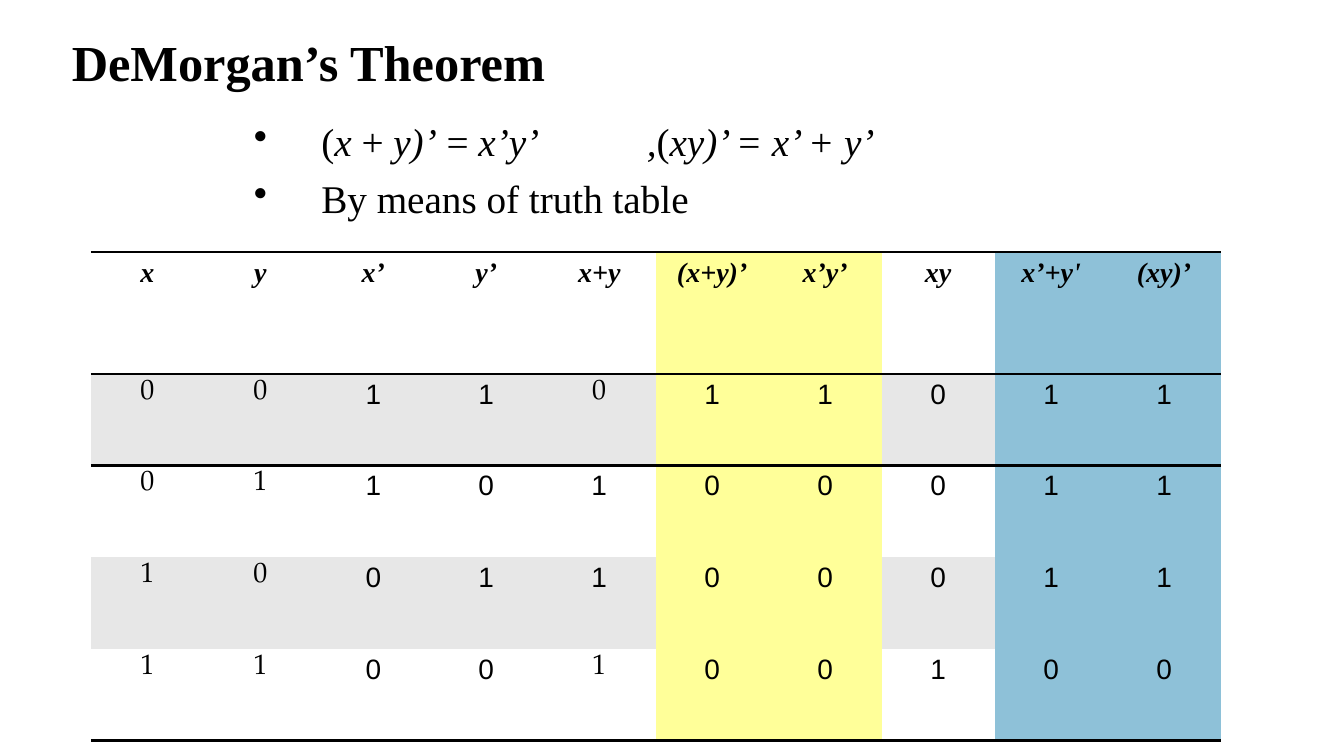
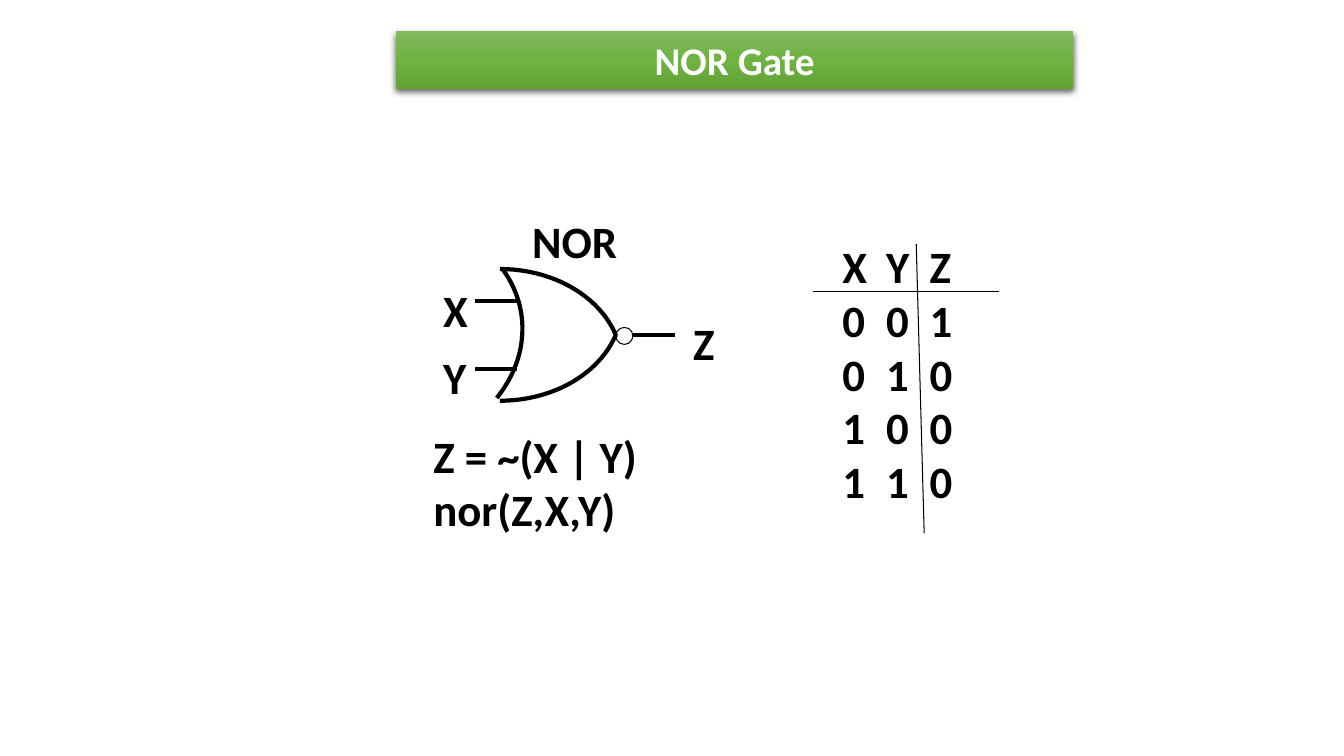
"""Build two slides on DeMorgan's theorem and the NOR gate."""
from copy import deepcopy

from pptx import Presentation
from pptx.dml.color import RGBColor
from pptx.enum.shapes import MSO_CONNECTOR as Connector, MSO_SHAPE as Shape
from pptx.enum.text import MSO_ANCHOR as Anchor, PP_ALIGN as Align
from pptx.oxml import parse_xml
from pptx.oxml.ns import nsdecls, qn
from pptx.util import Cm, Pt

COLORS = {"black": "000000", "white": "FFFFFF", "gray": "E7E7E7",
          "yellow": "FFFF99", "blue": "8EC1D8"}
BAND_STOPS = [(0, "81B861"), (0.5, "6FB242"), (1, "62A336")]
SERIF, SANS, ARIAL, PAGELLA = "Times New Roman", "Calibri", "Arial", "TeX Gyre Pagella"
TITLE_FORMAT = {"name": SERIF, "size": Pt(36), "bold": True}
BODY_FORMAT = {"name": SERIF, "size": Pt(28)}
HEADER_FORMAT = {"name": SERIF, "size": Pt(20), "bold": True, "italic": True}
BAND_FORMAT = {"name": SANS, "size": Pt(28), "bold": True}
GATE_FORMAT = {"name": SANS, "size": Pt(32), "bold": True}
NO_TABLE_STYLE = "{2D5ABB26-0587-4C30-8999-92F81FD0307C}"

THEOREM_TITLE = "DeMorgan’s Theorem"
THEOREM_LINES = [
    [("(", False), ("x", True), (" + ", False), ("y)’", True), (" = ", False),
     ("x’y’\t,", True), ("(", False), ("xy)’ = x’ + y’", True)],
    [("By means of truth table", False)],
]
TRUTH_ROWS = [
    ["x", "y", "x’", "y’", "x+y", "(x+y)’", "x’y’", "xy", "x’+y'", "(xy)’"],
    "0011011011",
    "0110100011",
    "1001100011",
    "1100100100",
]
COLUMN_COLORS = {5: "yellow", 6: "yellow", 8: "blue", 9: "blue"}
PAGELLA_CELLS = {(row, column) for row in range(1, 5) for column in (0, 1)} | {(1, 4), (4, 4)}

GATE_TITLE = "NOR Gate"
GATE_LABELS = [
    (["NOR"], 13.16, 5.26, 3, 1.63),
    (["X"], 10.92, 6.99, 1.3, 1.63),
    (["Y"], 10.92, 8.69, 1.3, 1.63),
    (["Z"], 17.22, 7.82, 1.3, 1.63),
    (["X\tY\tZ", "0\t0\t1", "0\t1\t0", "1\t0\t0", "1\t1\t0"], 20.98, 5.89, 4, 7.09),
    (["Z = ~(X | Y)", "nor(Z,X,Y)"], 10.67, 10.67, 6.5, 3),
]
GATE_TABS = (1.1, 2.2)
GATE_AXIS = 8.44
GATE_TOP = [(12.6, 6.78), (13.92, 6.78), (15.09, 7.44), (15.52, GATE_AXIS)]
GATE_BACK = [(12.65, 6.76), (13.36, 7.7), (13.36, 8.99), (12.52, 10.03)]
LINES = [
    (13.03, 7.59, 11.96, 7.59, 3),
    (13.03, 9.3, 11.96, 9.3, 3),
    (17.02, GATE_AXIS, 15.95, GATE_AXIS, 3),
    (20.5, 7.34, 25.17, 7.34, 0.75),
    (23.09, 6.15, 23.29, 13.44, 0.75),
]


def rgb(name):
    return RGBColor.from_string(COLORS[name])


def add_run(paragraph, text, values, color="black"):
    run = paragraph.add_run()
    run.text = text
    for name, value in values.items():
        setattr(run.font, name, value)
    run.font.color.rgb = rgb(color)


def add_text(slide, box, lines, values, tabs=(), **paragraph_values):
    frame = slide.shapes.add_textbox(*map(Cm, box)).text_frame
    frame.word_wrap = True
    for index, runs in enumerate(lines):
        paragraph = frame.add_paragraph() if index else frame.paragraphs[0]
        for name, value in paragraph_values.items():
            setattr(paragraph, name, value)
        for text, italic in runs:
            add_run(paragraph, text, {**values, "italic": italic})
        if tabs:
            stops = "".join(f'<a:tab pos="{Cm(tab)}" algn="l"/>' for tab in tabs)
            paragraph._p.get_or_add_pPr().append(
                parse_xml(f'<a:tabLst {nsdecls("a")}>{stops}</a:tabLst>'))
    return frame


def add_bullet(paragraph, indent):
    properties = paragraph._p.get_or_add_pPr()
    properties.set("marL", str(Cm(indent)))
    properties.set("indent", str(-Cm(indent)))
    bullet = parse_xml(f'<a:buChar {nsdecls("a")} char="•"/>')
    tabs = properties.find(qn("a:tabLst"))
    if tabs is None:
        properties.append(bullet)
    else:
        tabs.addprevious(bullet)


def add_border(cell, side):
    cell._tc.get_or_add_tcPr().append(parse_xml(
        f'<a:{side} {nsdecls("a")} w="{Pt(2)}"><a:solidFill>'
        f'<a:srgbClr val="{COLORS["black"]}"/></a:solidFill></a:{side}>'))


def add_truth_table(slide):
    row_count, column_count = len(TRUTH_ROWS), len(TRUTH_ROWS[0])
    shape = slide.shapes.add_table(row_count, column_count, Cm(2.29), Cm(6.35), Cm(28.47), Cm(12.29))
    table = shape.table
    table._tbl.tblPr.find(qn("a:tableStyleId")).text = NO_TABLE_STYLE
    table.first_row = table.horz_banding = False
    for column in table.columns:
        column.width = Cm(28.47) // column_count
    for row, texts in enumerate(TRUTH_ROWS):
        table.rows[row].height = Cm(2.31 if row else 3.07)
        for column, text in enumerate(texts):
            cell = table.cell(row, column)
            if row < 2:
                add_border(cell, "lnT")
            if row in (0, row_count - 1):
                add_border(cell, "lnB")
            cell.fill.solid()
            stripe = "gray" if row % 2 else "white"
            cell.fill.fore_color.rgb = rgb(COLUMN_COLORS.get(column, stripe))
            font = PAGELLA if (row, column) in PAGELLA_CELLS else ARIAL
            values = {"name": font, "size": Pt(20)} if row else HEADER_FORMAT
            paragraph = cell.text_frame.paragraphs[0]
            paragraph.alignment = Align.CENTER
            add_run(paragraph, text, values)


def add_band(slide, text):
    band = slide.shapes.add_shape(Shape.RECTANGLE, Cm(9.98), Cm(0.79), Cm(17.07), Cm(1.45))
    band.line.fill.background()
    band.fill.gradient()
    band.fill.gradient_angle = 270
    properties = band._element.spPr
    stop_list = properties.find(qn("a:gradFill")).find(qn("a:gsLst"))
    stop_list.append(deepcopy(stop_list[-1]))
    for stop, (position, color) in zip(band.fill.gradient_stops, BAND_STOPS):
        stop.position = position
        stop.color.rgb = RGBColor.from_string(color)
    properties.append(parse_xml(
        f'<a:effectLst {nsdecls("a")}><a:outerShdw blurRad="{Pt(4.5)}" dist="{Pt(1.5)}" '
        f'dir="5400000" algn="ctr" rotWithShape="0"><a:srgbClr val="{COLORS["black"]}">'
        '<a:alpha val="63000"/></a:srgbClr></a:outerShdw></a:effectLst>'))
    band.text_frame.vertical_anchor = Anchor.MIDDLE
    paragraph = band.text_frame.paragraphs[0]
    paragraph.alignment = Align.CENTER
    add_run(paragraph, text, BAND_FORMAT, "white")


def curve_points(controls, steps=24):
    points = []
    for step in range(steps + 1):
        t = step / steps
        weights = ((1 - t) ** 3, 3 * t * (1 - t) ** 2, 3 * t * t * (1 - t), t ** 3)
        points.append(tuple(Cm(sum(weight * point[axis] for weight, point in zip(weights, controls)))
                            for axis in (0, 1)))
    return points


def set_outline(shape, width):
    shape.shadow.inherit = False
    shape.fill.background()
    shape.line.color.rgb = rgb("black")
    shape.line.width = Pt(width)


def add_curve(slide, points):
    builder = slide.shapes.build_freeform(*points[0])
    builder.add_line_segments(points[1:], close=False)
    set_outline(builder.convert_to_shape(), 3)


def add_line(slide, left, top, right, bottom, width):
    line = slide.shapes.add_connector(Connector.STRAIGHT, *map(Cm, (left, top, right, bottom)))
    line.line.color.rgb = rgb("black")
    line.line.width = Pt(width)
    line._element.spPr.append(parse_xml(f'<a:effectLst {nsdecls("a")}/>'))


def build_theorem(slide):
    title = add_text(slide, (1.56, 0.41, 14.68, 2.46), [[(THEOREM_TITLE, False)]],
                     TITLE_FORMAT, line_spacing=0.9)
    title.vertical_anchor = Anchor.MIDDLE
    body = add_text(slide, (6.15, 2.97, 20.24, 3.38), THEOREM_LINES, BODY_FORMAT,
                    tabs=(9.9,), line_spacing=0.9, space_before=Pt(10))
    for paragraph in body.paragraphs:
        add_bullet(paragraph, 1.7)
    add_truth_table(slide)


def build_gate(slide):
    add_band(slide, GATE_TITLE)
    top = curve_points(GATE_TOP)
    bottom = [(x, 2 * Cm(GATE_AXIS) - y) for x, y in reversed(top[:-1])]
    add_curve(slide, top + bottom)
    add_curve(slide, curve_points(GATE_BACK))
    for line in LINES:
        add_line(slide, *line)
    bubble = slide.shapes.add_shape(Shape.OVAL, Cm(15.52), Cm(8.25), Cm(0.43), Cm(0.43))
    set_outline(bubble, 0.75)
    for texts, *box in GATE_LABELS:
        tabs = GATE_TABS if "\t" in texts[0] else ()
        add_text(slide, box, [[(text, False)] for text in texts], GATE_FORMAT, tabs)


def main():
    presentation = Presentation()
    presentation.slide_width, presentation.slide_height = Cm(33.87), Cm(19.05)
    for build in (build_theorem, build_gate):
        build(presentation.slides.add_slide(presentation.slide_layouts[6]))
    presentation.save("out.pptx")


if __name__ == "__main__":
    main()
